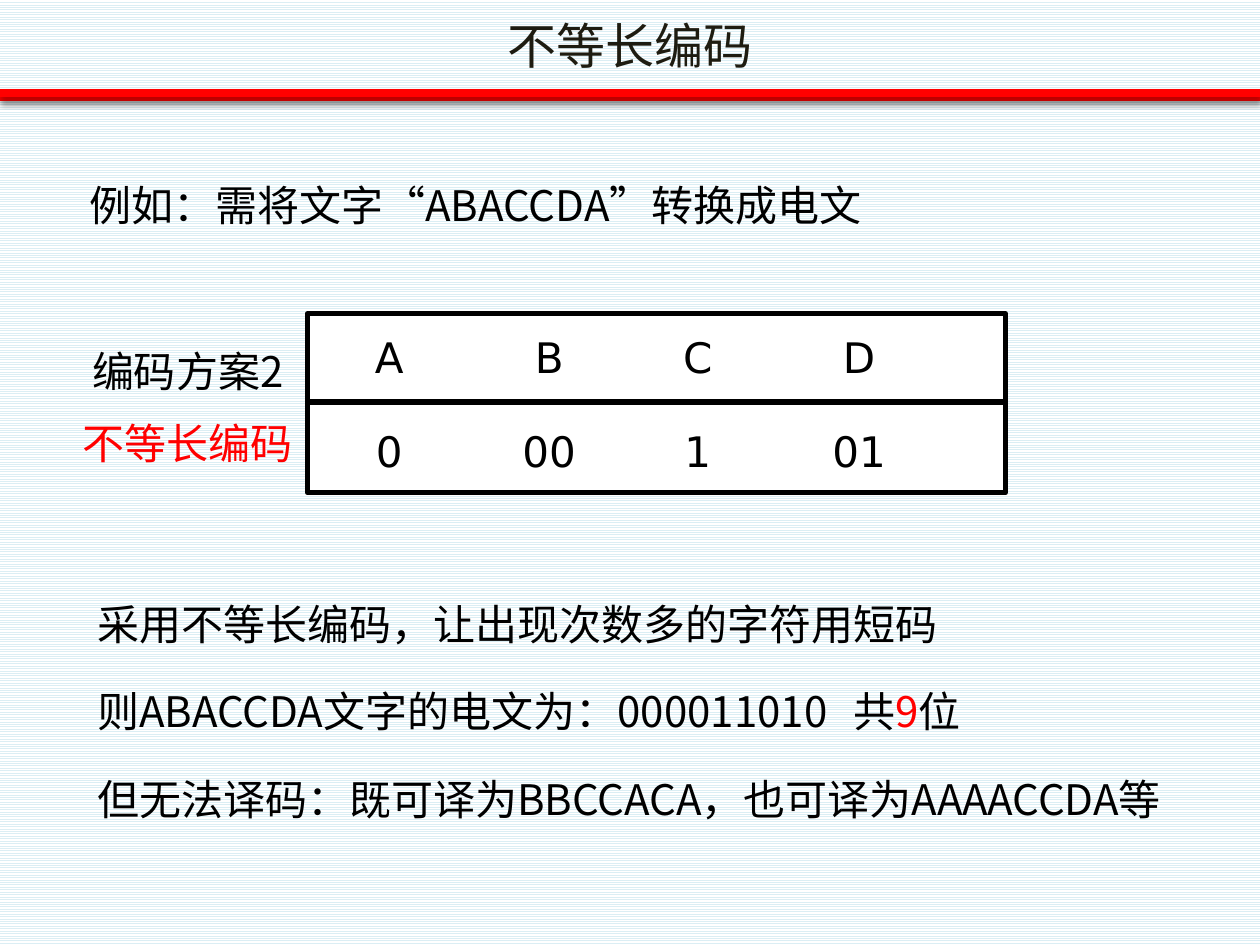
from lxml import etree
from pptx import Presentation
from pptx.dml.color import RGBColor
from pptx.enum.dml import MSO_PATTERN
from pptx.enum.shapes import MSO_CONNECTOR, MSO_SHAPE
from pptx.enum.text import MSO_ANCHOR, MSO_AUTO_SIZE, PP_ALIGN
from pptx.oxml.ns import qn
from pptx.util import Inches, Pt

CJK, LATIN = "Noto Sans CJK SC", "DejaVu Sans"
BLACK, RED, WHITE = "000000", "FF0000", "FFFFFF"
BODY = {"line_spacing": Pt(38), "space_before": Pt(12)}
LABEL = {"line_spacing": Pt(29), "space_before": Pt(12), "alignment": PP_ALIGN.CENTER}


def color(hex_value):
    return RGBColor.from_string(hex_value)


def child(parent, tag, **attributes):
    return etree.SubElement(parent, qn(tag), attributes)


def set_all(target, values):
    for name, value in values.items():
        setattr(target, name, value)


def add_run(paragraph, text, size=24, font=CJK, hue=BLACK):
    run = paragraph.add_run()
    run.text = text
    set_all(run.font, {"size": Pt(size), "name": font})
    run.font.color.rgb = color(hue)
    child(run._r.get_or_add_rPr(), "a:ea", typeface=font)


def set_tabs(paragraph, stops, align):
    tab_list = child(paragraph._p.get_or_add_pPr(), "a:tabLst")
    for stop in stops:
        child(tab_list, "a:tab", pos=str(Inches(stop)), algn=align)


def write_lines(frame, lines, layout):
    """Each line is a list of (text, colour) pieces."""
    for index, pieces in enumerate(lines):
        paragraph = frame.paragraphs[0] if index == 0 else frame.add_paragraph()
        set_all(paragraph, layout)
        if index == 0:
            paragraph.space_before = Pt(0)
        for text, hue in pieces:
            add_run(paragraph, text, hue=hue)


def place(shape, box):
    set_all(shape, dict(zip(("left", "top", "width", "height"), map(Inches, box))))


def add_text_box(slide, box, anchor=MSO_ANCHOR.TOP):
    frame = slide.shapes.add_textbox(*map(Inches, box)).text_frame
    set_all(frame, {"word_wrap": True, "vertical_anchor": anchor})
    return frame


def add_rule(slide, left, right, y, hue, weight):
    rule = slide.shapes.add_connector(
        MSO_CONNECTOR.STRAIGHT, Inches(left), Inches(y), Inches(right), Inches(y))
    rule.line.color.rgb = color(hue)
    rule.line.width = Pt(weight)
    return child(rule._element.spPr, "a:effectLst")


def add_header(slide, box):
    left, top, width, height = box
    # Red band of two overlapping lines with a soft shadow
    for y in (0.77, 0.74):
        effects = add_rule(slide, left, left + width, y, RED, 4.5)
        shadow = child(effects, "a:outerShdw", blurRad=str(Pt(3.1)),
                       dist=str(Pt(1.8)), dir="5400000", rotWithShape="0")
        child(child(shadow, "a:srgbClr", val=BLACK), "a:alpha", val="35000")
    # Title
    title = slide.shapes.title
    place(title, box)
    title.text_frame.vertical_anchor = MSO_ANCHOR.MIDDLE
    paragraph = title.text_frame.paragraphs[0]
    paragraph.alignment = PP_ALIGN.CENTER
    add_run(paragraph, "不等长编码", 28, LATIN, "1E1C11")


def add_example(slide, box):
    write_lines(add_text_box(slide, box),
                [[("例如：需将文字“ABACCDA”转换成电文", BLACK)]], BODY)


def add_code_scheme(slide, box):
    left, top, width, height = box
    # Frame and divider
    frame = slide.shapes.add_shape(MSO_SHAPE.RECTANGLE, *map(Inches, box))
    frame.shadow.inherit = False
    frame.fill.solid()
    frame.fill.fore_color.rgb = color(WHITE)
    frame.line.color.rgb = color(BLACK)
    frame.line.width = Pt(3)
    add_rule(slide, left, left + width, top + 0.7, BLACK, 3)
    # Scheme name to the left of the frame
    label = add_text_box(slide, (left - 2.13, top + 0.18, 2.36, 1.11), MSO_ANCHOR.MIDDLE)
    write_lines(label, [[("编码方案2", BLACK)], [("不等长编码", RED)]], LABEL)
    # Characters above their codes, centred on shared tab stops
    rows = ((0.09, ("A", "B", "C", "D")), (0.84, ("0", "00", "1", "01")))
    for offset, cells in rows:
        row = add_text_box(slide, (left, top + offset, width, 0.5), MSO_ANCHOR.MIDDLE)
        paragraph = row.paragraphs[0]
        set_tabs(paragraph, (0.55, 1.82, 3, 4.28), "ctr")
        add_run(paragraph, "".join("\t" + cell for cell in cells), font=LATIN)


def add_conclusion(slide, box):
    body = slide.placeholders[1]
    place(body, box)
    frame = body.text_frame
    set_all(frame, {"auto_size": MSO_AUTO_SIZE.NONE, "vertical_anchor": MSO_ANCHOR.TOP})
    write_lines(frame, [
        [("采用不等长编码，让出现次数多的字符用短码", BLACK)],
        [("则ABACCDA文字的电文为：000011010\t共", BLACK), ("9", RED), ("位", BLACK)],
        [("但无法译码：既可译为BBCCACA，也可译为AAAACCDA等", BLACK)],
    ], BODY)
    for paragraph in frame.paragraphs:
        properties = paragraph._p.get_or_add_pPr()
        properties.set("marL", "0")
        properties.set("indent", "0")
        child(properties, "a:buNone")
        set_tabs(paragraph, (6.5,), "l")


def main():
    deck = Presentation()
    set_all(deck, {"slide_width": Inches(10), "slide_height": Inches(7.5)})
    slide = deck.slides.add_slide(deck.slide_layouts[1])
    # Striped background
    backdrop = slide.background.fill
    backdrop.patterned()
    backdrop.pattern = MSO_PATTERN.LIGHT_HORIZONTAL
    backdrop.fore_color.rgb = color("DBEEF4")
    backdrop.back_color.rgb = color(WHITE)

    add_header(slide, (0, 0.02, 10, 0.68))
    add_example(slide, (0.61, 1.25, 9.21, 0.79))
    add_code_scheme(slide, (2.44, 2.49, 5.54, 1.42))
    add_conclusion(slide, (0.67, 4.57, 9.21, 2.6))
    deck.save("out.pptx")


if __name__ == "__main__":
    main()
